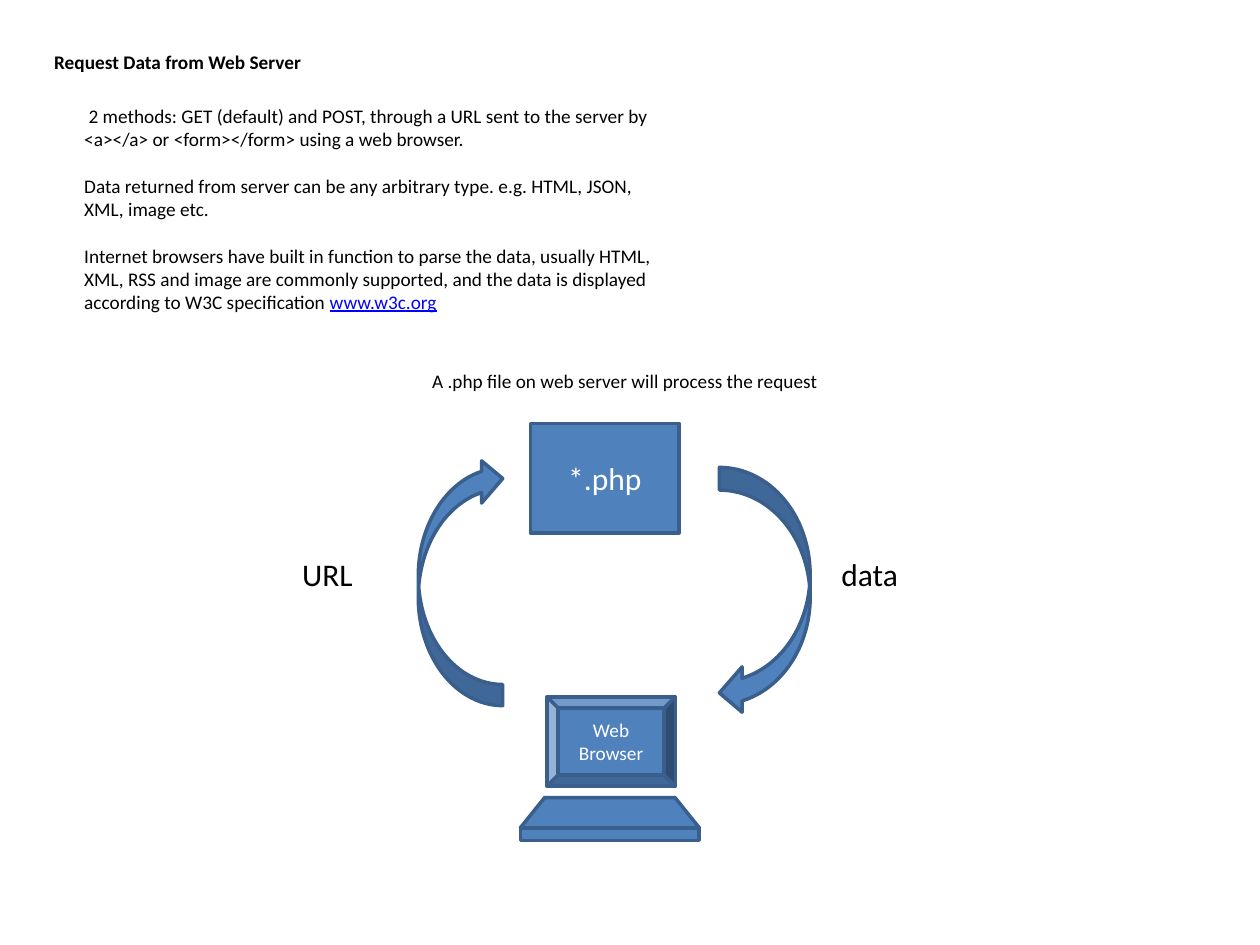
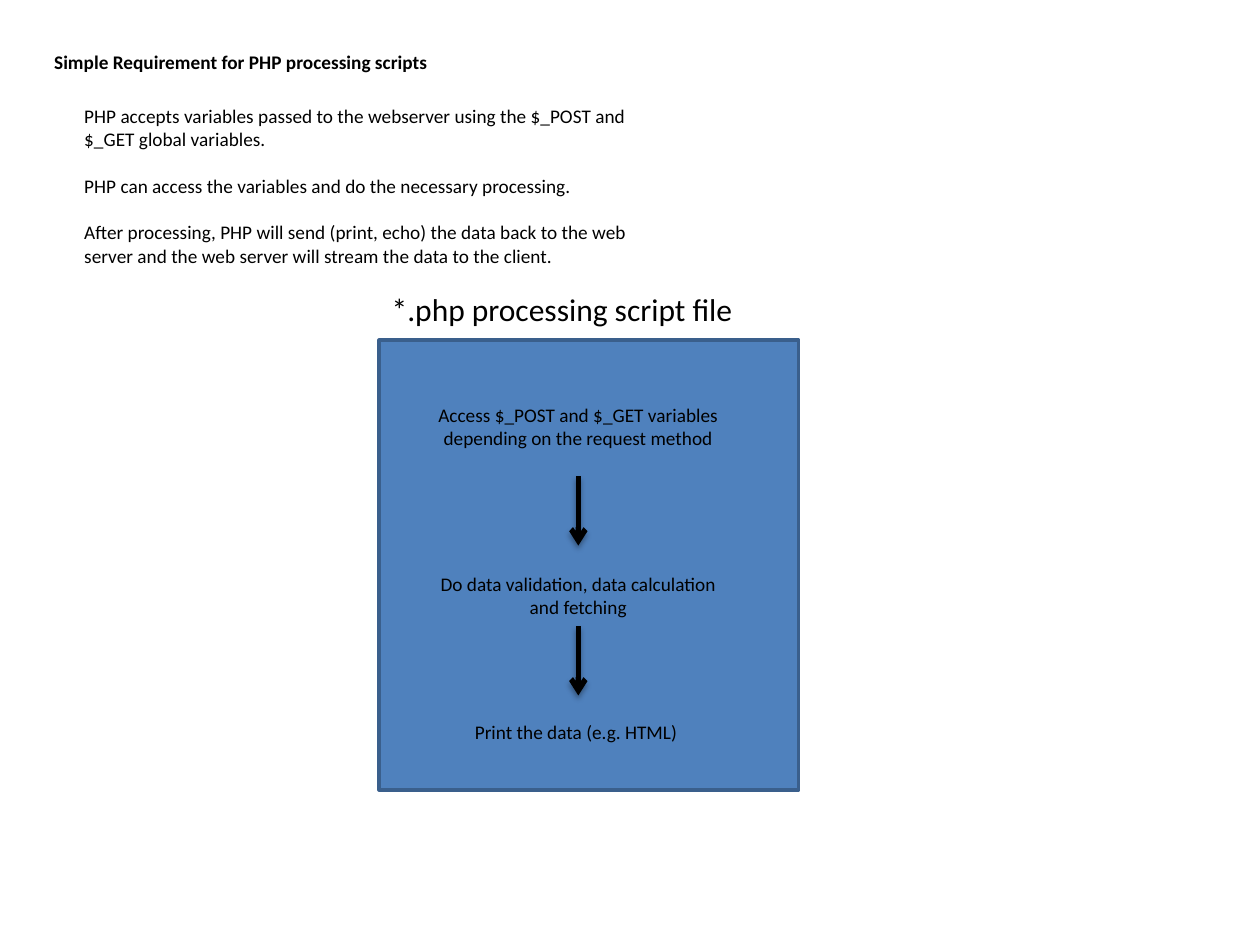
"""Build two slides on requesting web data and processing it with PHP."""
import dataclasses

import lxml.etree
import pptx
import pptx.dml.color
import pptx.enum.shapes
import pptx.enum.text
import pptx.oxml.ns
import pptx.shapes.autoshape
import pptx.slide
import pptx.text.text
import pptx.util

Inches = pptx.util.Inches
Pt = pptx.util.Pt
RGB = pptx.dml.color.RGBColor
Align = pptx.enum.text.PP_ALIGN
Anchor = pptx.enum.text.MSO_ANCHOR
Kind = pptx.enum.shapes.MSO_SHAPE
qn = pptx.oxml.ns.qn


@dataclasses.dataclass(frozen=True)
class Theme:
    font: str = "Calibri"
    ink: RGB = RGB(0, 0, 0)
    light: RGB = RGB(255, 255, 255)
    link: RGB = RGB(0, 0, 255)
    fill: RGB = RGB(0x4F, 0x81, 0xBD)
    outline: RGB = RGB(0x3A, 0x5F, 0x8C)
    body: float = 11
    large: float = 18
    paragraph_gap: float = 13.4
    outline_width: float = 2
    arrow_width: float = 3


THEME = Theme()


@dataclasses.dataclass(frozen=True)
class Area:
    left: float
    top: float
    width: float
    height: float

    def lengths(self) -> tuple[int, ...]:
        return tuple(Inches(value) for value in dataclasses.astuple(self))


@dataclasses.dataclass(frozen=True)
class Span:
    text: str
    color: RGB = THEME.ink
    size: float = THEME.body
    bold: bool = False
    underline: bool = False


@dataclasses.dataclass(frozen=True)
class Label:
    area: Area
    span: Span
    align: Align = Align.LEFT
    wrap: bool = True


@dataclasses.dataclass(frozen=True)
class Figure:
    kind: Kind
    area: Area
    span: Span | None = None
    rotation: float = 0
    flipped: bool = False
    slant: float | None = None


TITLE_AREA = Area(0.33, 0.35, 3.2, 0.29)


def write(frame: pptx.text.text.TextFrame, paragraphs: list[list[Span]],
          align: Align = Align.LEFT, anchor: Anchor = Anchor.TOP, wrap: bool = True) -> None:
    frame.word_wrap = wrap
    frame.auto_size = pptx.enum.text.MSO_AUTO_SIZE.NONE
    frame.vertical_anchor = anchor
    for index, spans in enumerate(paragraphs):
        para = frame.add_paragraph() if index else frame.paragraphs[0]
        para.alignment = align
        para.space_before = Pt(THEME.paragraph_gap if index else 0)
        for span in spans:
            run = para.add_run()
            run.text = span.text
            run.font.name = THEME.font
            run.font.size = Pt(span.size)
            run.font.bold = span.bold
            run.font.underline = span.underline
            run.font.color.rgb = span.color


def add_page(deck: pptx.presentation.Presentation, title: str,
             body_height: float, paragraphs: list[list[Span]]) -> pptx.slide.Slide:
    page = deck.slides.add_slide(deck.slide_layouts[5])
    heading = page.shapes.title
    heading.left, heading.top, heading.width, heading.height = TITLE_AREA.lengths()
    write(heading.text_frame, [[Span(title, bold=True)]], wrap=False)
    body = page.shapes.add_textbox(*Area(0.57, 0.78, 4.72, body_height).lengths())
    write(body.text_frame, paragraphs)
    return page


def add_label(page: pptx.slide.Slide, label: Label) -> None:
    box = page.shapes.add_textbox(*label.area.lengths())
    write(box.text_frame, [[label.span]], label.align, wrap=label.wrap)


def add_figure(page: pptx.slide.Slide, figure: Figure) -> None:
    shape = page.shapes.add_shape(figure.kind, *figure.area.lengths())
    shape.shadow.inherit = False
    shape.fill.solid()
    shape.fill.fore_color.rgb = THEME.fill
    shape.line.color.rgb = THEME.outline
    shape.line.width = Pt(THEME.outline_width)
    shape.rotation = figure.rotation
    if figure.flipped:
        shape.element.spPr.find(qn("a:xfrm")).set("flipH", "1")
    if figure.slant is not None:
        shape.adjustments[0] = figure.slant
    if figure.span:
        write(shape.text_frame, [[figure.span]], Align.CENTER, Anchor.MIDDLE)


def add_down_arrow(page: pptx.slide.Slide, x: float, top: float, bottom: float) -> None:
    arrow = page.shapes.add_connector(
        pptx.enum.shapes.MSO_CONNECTOR.STRAIGHT,
        Inches(x), Inches(top), Inches(x), Inches(bottom))
    arrow.line.color.rgb = THEME.ink
    arrow.line.width = Pt(THEME.arrow_width)
    properties = arrow.element.spPr
    sub = lxml.etree.SubElement
    sub(properties.find(qn("a:ln")), qn("a:tailEnd"), type="arrow")
    effects = sub(properties, qn("a:effectLst"))
    shadow = sub(effects, qn("a:outerShdw"), blurRad=str(Pt(3.1)), dist=str(Pt(1.8)),
                 dir="5400000", rotWithShape="0")
    color = sub(shadow, qn("a:srgbClr"), val=str(THEME.ink))
    sub(color, qn("a:alpha"), val="35000")


def build_request_page(deck: pptx.presentation.Presentation) -> None:
    page = add_page(deck, "Request Data from Web Server", 1.77, [
        [Span(" 2 methods: GET (default) and POST, through a URL sent to the server by "
              "<a></a> or <form></form> using a web browser.")],
        [Span("Data returned from server can be any arbitrary type. e.g. HTML, JSON, "
              "XML, image etc.")],
        [Span("Internet browsers have built in function to parse the data, usually HTML, "
              "XML, RSS and image are commonly supported, and the data is displayed "
              "according to W3C specification "),
         Span("www.w3c.org", THEME.link, underline=True)],
    ])
    figures = [
        Figure(Kind.RECTANGLE, Area(4.21, 3.36, 1.18, 0.87),
               Span("*.php", THEME.light, THEME.large)),
        Figure(Kind.CURVED_RIGHT_ARROW, Area(3.32, 3.63, 0.67, 1.97),
               rotation=180, flipped=True),
        Figure(Kind.CURVED_RIGHT_ARROW, Area(5.71, 3.71, 0.72, 1.97), flipped=True),
        Figure(Kind.BEVEL, Area(4.34, 5.53, 1.02, 0.71), Span("Web Browser", THEME.light)),
        Figure(Kind.TRAPEZOID, Area(4.13, 6.33, 1.42, 0.24), slant=0.804),
        Figure(Kind.RECTANGLE, Area(4.13, 6.57, 1.42, 0.1)),
    ]
    for figure in figures:
        add_figure(page, figure)
    labels = [
        Label(Area(2.3, 4.36, 0.63, 0.4), Span("URL", size=THEME.large)),
        Label(Area(6.58, 4.36, 0.77, 0.4), Span("data", size=THEME.large)),
        Label(Area(3.19, 2.88, 3.54, 0.29),
              Span("A .php file on web server will process the request"), Align.CENTER),
    ]
    for label in labels:
        add_label(page, label)


def build_script_page(deck: pptx.presentation.Presentation) -> None:
    page = add_page(deck, "Simple Requirement for PHP processing scripts", 1.4, [
        [Span("PHP accepts variables passed to the webserver using the $_POST and "
              "$_GET global variables.")],
        [Span("PHP can access the variables and do the necessary processing. ")],
        [Span("After processing, PHP will send (print, echo) the data back to the web "
              "server and the web server will stream the data to the client.")],
    ])
    add_figure(page, Figure(Kind.RECTANGLE, Area(3.01, 2.7, 3.33, 3.57)))
    add_label(page, Label(Area(3.01, 2.25, 2.94, 0.4),
                          Span("*.php processing script file", size=THEME.large), wrap=False))
    steps = [
        (3.15, 0.47, "Access $_POST and $_GET variables depending on the request method"),
        (4.49, 0.47, "Do data validation, data calculation and fetching"),
        (5.67, 0.29, "Print the data (e.g. HTML) "),
    ]
    left, width = 3.31, 2.56
    for top, height, text in steps:
        add_label(page, Label(Area(left, top, width, height), Span(text), Align.CENTER))
    for top in (3.78, 4.97):
        add_down_arrow(page, left + width / 2, top, top + 0.55)


def main() -> None:
    deck = pptx.Presentation()
    deck.slide_width, deck.slide_height = Inches(10), Inches(7.5)
    build_request_page(deck)
    build_script_page(deck)
    deck.save("out.pptx")


main()
